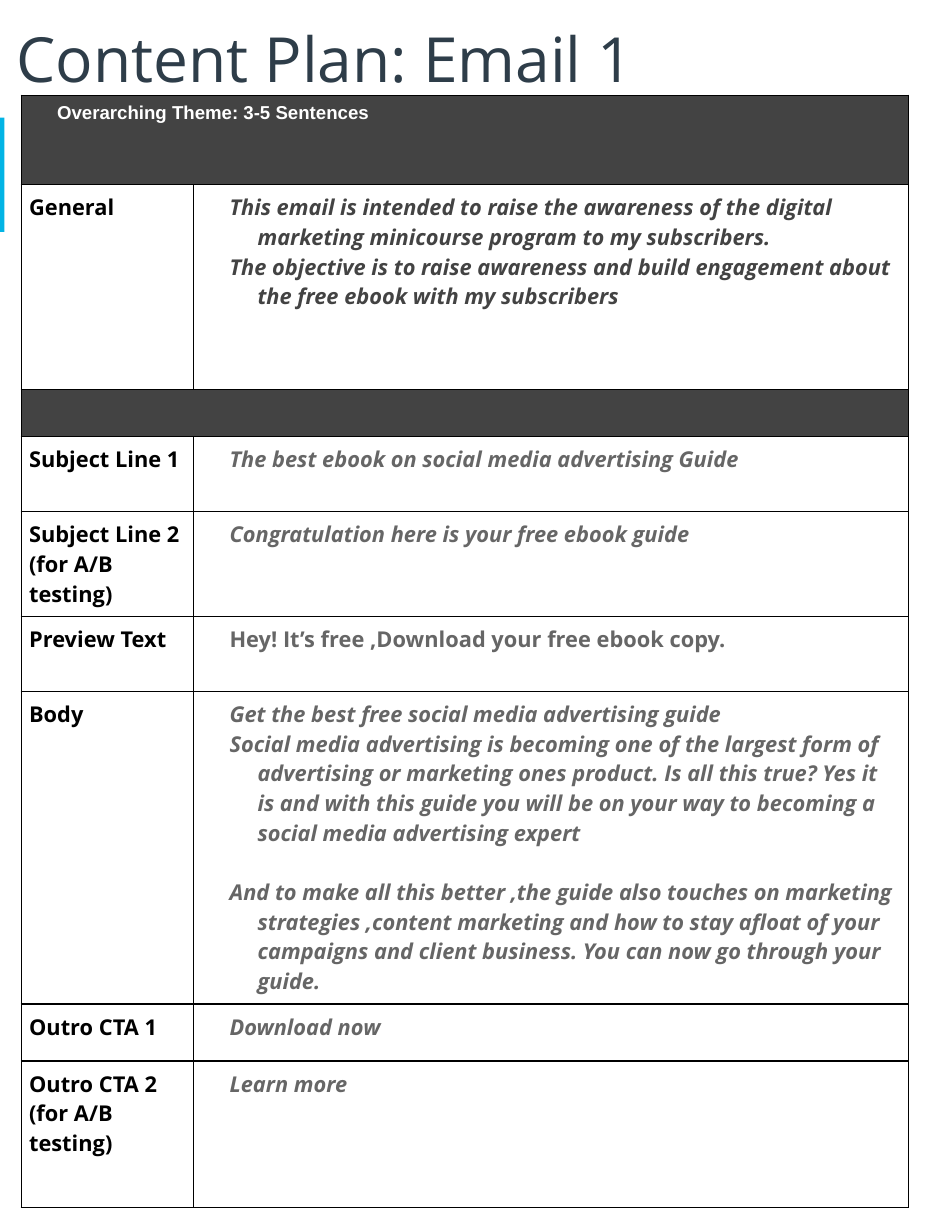
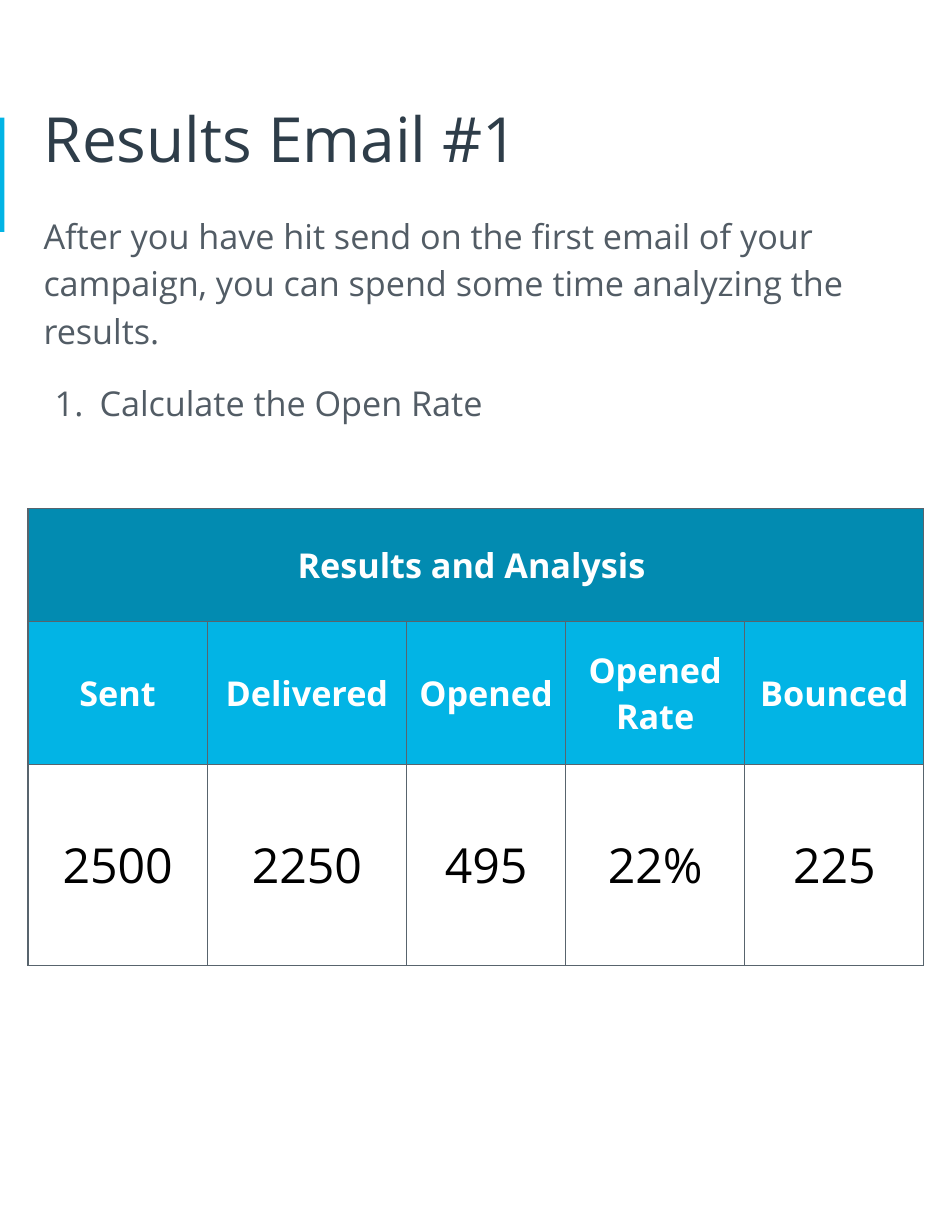
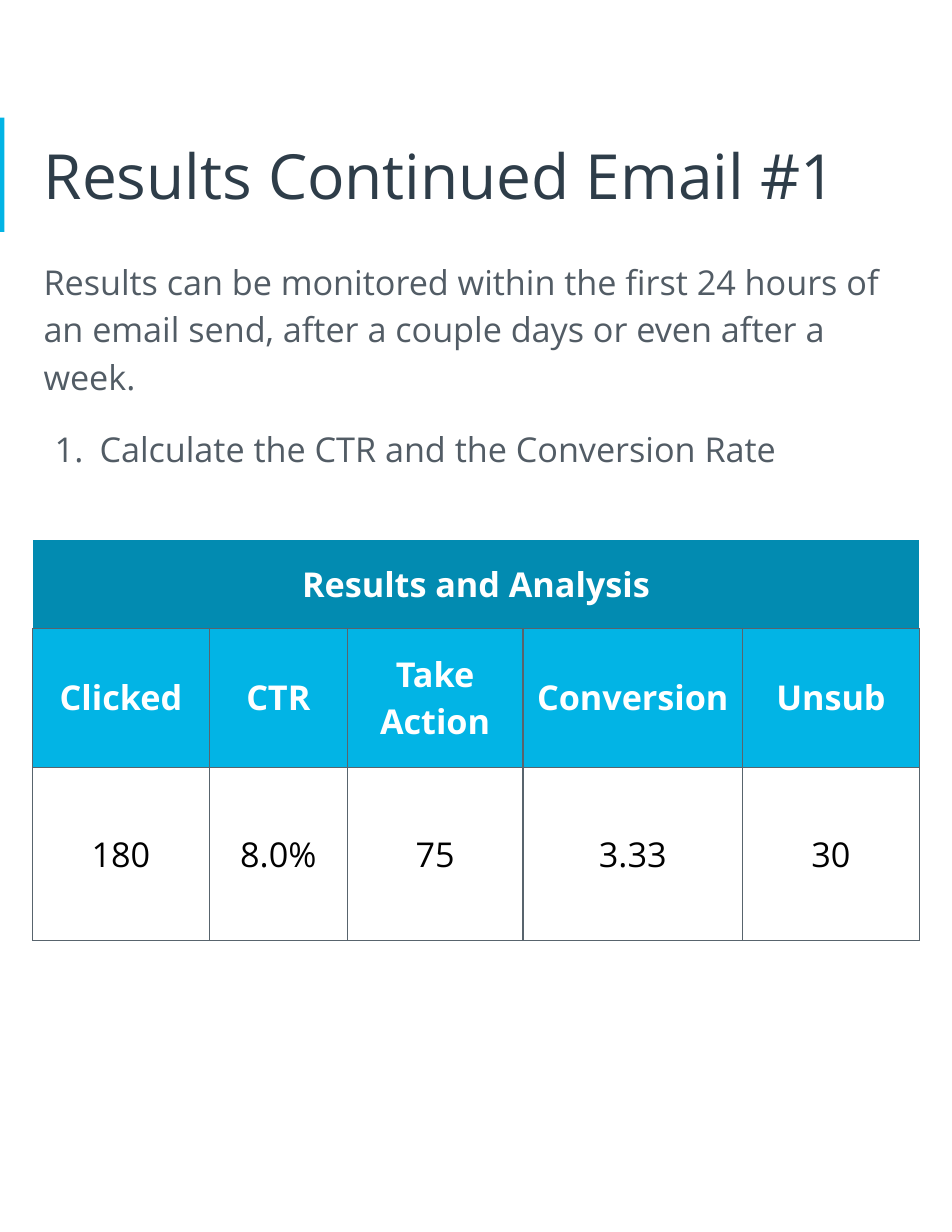
"""Build the email plan and the two result slides."""
from dataclasses import dataclass

import lxml.etree
import pptx
import pptx.dml.color
import pptx.enum.shapes
import pptx.enum.text
import pptx.oxml.ns
import pptx.presentation
import pptx.shapes.base
import pptx.slide
import pptx.table
import pptx.text.text
import pptx.util

Inches = pptx.util.Inches
Pt = pptx.util.Pt
RGBColor = pptx.dml.color.RGBColor
Align = pptx.enum.text.PP_ALIGN
Anchor = pptx.enum.text.MSO_ANCHOR

WHITE = RGBColor(0xFF, 0xFF, 0xFF)
BLACK = RGBColor(0x00, 0x00, 0x00)
NAVY = RGBColor(0x2E, 0x3D, 0x49)
SLATE = RGBColor(0x52, 0x5C, 0x65)
EDGE = RGBColor(0x58, 0x64, 0x6D)
CYAN = RGBColor(0x02, 0xB4, 0xE5)
TEAL = RGBColor(0x02, 0x8B, 0xB1)
COAL = RGBColor(0x43, 0x43, 0x43)
GRAY = RGBColor(0x66, 0x66, 0x66)
SANS = "Open Sans"
WIDTH = 7.92
INSET = 0.1


@dataclass(frozen=True)
class Style:
    """Look of a paragraph."""
    size: float
    color: RGBColor
    bold: bool = False
    slant: bool = False
    face: str = SANS


@dataclass(frozen=True)
class Entry:
    """Row of the plan: label, height and answer lines."""
    label: str
    height: float
    lines: tuple[str, ...]
    style: Style
    hang: float = 0.25


@dataclass(frozen=True)
class Report:
    """Content and layout of a result slide."""
    title: str
    top: float
    intro: str
    task: str
    text_top: float
    head: str
    left: float
    grid_top: float
    cols: tuple[float, ...]
    rows: tuple[float, ...]
    names: tuple[str, ...]
    values: tuple[str, ...]
    size: float
    rim: RGBColor


TITLE = Style(40, NAVY)
BODY = Style(22, SLATE)
HEAD = Style(22, WHITE, bold=True)
THEME = Style(12, WHITE, bold=True, face="Arial")
LABEL = Style(14, BLACK, bold=True)
GOAL = Style(14, COAL, bold=True, slant=True)
COPY = Style(14, GRAY, bold=True, slant=True)
PLAIN = Style(14, GRAY, bold=True)

THEME_HEIGHT = 0.8
BAND_HEIGHT = 0.42
PLAN_COLS = (1.54, 6.38)
GENERAL = Entry("General", 1.83, (
    "This email is intended to raise the awareness of the digital "
    "marketing minicourse program to my subscribers.",
    "The objective is to raise awareness and build engagement about the free "
    "ebook with my subscribers"), GOAL)
PARTS = (
    Entry("Subject Line 1", 0.67,
          ("The best ebook on social media advertising Guide",), COPY, hang=0),
    Entry("Subject Line 2 (for A/B testing)", 0.93,
          ("Congratulation here is your free ebook guide",), COPY),
    Entry("Preview Text", 0.67,
          ("Hey! It’s free ,Download your free ebook copy.",), PLAIN),
    Entry("Body", 2.79, (
        "Get the best free social media advertising guide",
        "Social media advertising is becoming one of the largest form of "
        "advertising or marketing ones product. Is all this true? Yes it is "
        "and with this guide you will be on your way to becoming a social "
        "media advertising expert",
        "And to make all this better ,the guide also touches on marketing "
        "strategies ,content marketing and how to stay afloat of your "
        "campaigns and client business. You can now go through your guide."),
        COPY),
    Entry("Outro CTA 1", 0.51, ("Download now",), COPY),
    Entry("Outro CTA 2 (for A/B testing)", 1.31, ("Learn more",), COPY),
)

REPORTS = (
    Report("Results Email #1", 0.62,
           "After you have hit send on the first email of your campaign, you "
           "can spend some time analyzing the results.",
           "Calculate the Open Rate", 1.77,
           "Results and Analysis ", 0.25, 4.54,
           (1.6, 1.78, 1.42, 1.6, 1.6), (1.01, 1.28, 1.79),
           ("Sent", "Delivered", "Opened", "Opened Rate", "Bounced"),
           ("2500", "2250", "495", "22%", "225"), 31, EDGE),
    Report("Results Continued Email #1", 0.95,
           "Results can be monitored within the first 24 hours of an email "
           "send, after a couple days or even after a week.",
           "Calculate the CTR and the Conversion Rate", 2.18,
           "Results and Analysis", 0.29, 4.82,
           (1.58, 1.23, 1.57, 1.96, 1.58), (0.79, 1.24, 1.55),
           ("Clicked", "CTR", "Take Action", "Conversion", "Unsub"),
           ("180", "8.0%", "75", "3.33", "30"), 22, WHITE),
)


def add_node(parent: lxml.etree._Element, tag: str,
             **attrs: str) -> lxml.etree._Element:
    """Append a drawing element with its attributes."""
    return lxml.etree.SubElement(parent, pptx.oxml.ns.qn(tag), attrs)


def write(par: pptx.text.text._Paragraph, text: str, style: Style) -> None:
    """Fill a paragraph with styled text."""
    par.text = text
    font = par.font
    font.name, font.size = style.face, Pt(style.size)
    font.bold, font.italic = style.bold, style.slant
    font.color.rgb = style.color


def indent(par: pptx.text.text._Paragraph, left: float, hang: float) -> None:
    """Set the left margin and the hanging indent."""
    props = par._p.get_or_add_pPr()
    props.set("marL", str(Inches(left)))
    props.set("indent", str(-Inches(hang)))


def set_frame(shape: pptx.shapes.base.BaseShape, left: float, top: float,
              height: float, anchor: Anchor) -> None:
    """Place a text shape and set its frame."""
    shape.left, shape.top = Inches(left), Inches(top)
    shape.width, shape.height = Inches(WIDTH), Inches(height)
    frame = shape.text_frame
    frame.word_wrap = True
    frame.auto_size = pptx.enum.text.MSO_AUTO_SIZE.NONE
    frame.vertical_anchor = anchor
    frame.margin_left = frame.margin_right = Inches(INSET)
    frame.margin_top = frame.margin_bottom = Inches(INSET)


def add_page(deck: pptx.presentation.Presentation, title: str, left: float,
             top: float, height: float) -> pptx.slide.Slide:
    """Add a slide with the side accent and its title."""
    page = deck.slides.add_slide(deck.slide_layouts.get_by_name("Title Only"))
    bar = page.shapes.add_shape(pptx.enum.shapes.MSO_SHAPE.RECTANGLE, 0,
                                Inches(1.05), Inches(0.04), Inches(1.02))
    bar.shadow.inherit = False
    bar.fill.solid()
    bar.fill.fore_color.rgb = CYAN
    bar.line.fill.background()
    set_frame(page.shapes.title, left, top, height, Anchor.MIDDLE)
    par = page.shapes.title.text_frame.paragraphs[0]
    write(par, title, TITLE)
    par.alignment = Align.LEFT
    return page


def set_edge(cell: pptx.table._Cell, side: str, color: RGBColor,
             width: float) -> None:
    """Draw one border of a cell."""
    props = cell._tc.get_or_add_tcPr()
    line = add_node(props, f"a:ln{side}", w=str(Pt(width)))
    add_node(add_node(line, "a:solidFill"), "a:srgbClr", val=str(color))


def add_grid(page: pptx.slide.Slide, left: float, top: float,
             cols: tuple[float, ...], rows: tuple[float, ...],
             color: RGBColor, width: float, pad: tuple[float, float],
             rim: RGBColor) -> pptx.table.Table:
    """Add a bordered table without fill; rim colours the top row's edge."""
    grid = page.shapes.add_table(
        len(rows), len(cols), Inches(left), Inches(top),
        Inches(sum(cols)), Inches(sum(rows))).table
    grid.first_row = grid.horz_banding = False
    for col, size in zip(grid.columns, cols):
        col.width = Inches(size)
    for num, (row, size) in enumerate(zip(grid.rows, rows)):
        row.height = Inches(size)
        for cell in row.cells:
            cell.margin_left = cell.margin_right = Inches(pad[0])
            cell.margin_top = cell.margin_bottom = Inches(pad[1])
            for side in "LRTB":
                outer = num == 0 and side != "B"
                set_edge(cell, side, rim if outer else color, width)
            cell.fill.background()
    return grid


def paint(cell: pptx.table._Cell, color: RGBColor) -> None:
    """Fill a cell with a solid colour."""
    cell.fill.solid()
    cell.fill.fore_color.rgb = color


def add_band(grid: pptx.table.Table, row: int,
             color: RGBColor) -> pptx.table._Cell:
    """Merge a row into one filled band."""
    cell = grid.cell(row, 0)
    cell.merge(grid.cell(row, len(grid.columns) - 1))
    paint(cell, color)
    return cell


def add_entry(grid: pptx.table.Table, row: int, entry: Entry) -> None:
    """Write a label and its answer into a row."""
    write(grid.cell(row, 0).text_frame.paragraphs[0], entry.label, LABEL)
    frame = grid.cell(row, 1).text_frame
    for num, line in enumerate(entry.lines):
        par = frame.add_paragraph() if num else frame.paragraphs[0]
        write(par, line, entry.style)
        indent(par, 0.25 + entry.hang, entry.hang)
        if num == 2:
            par.space_before = Pt(19)


def add_plan(deck: pptx.presentation.Presentation) -> None:
    """Add the content plan slide."""
    page = add_page(deck, "Content Plan: Email 1", 0.05, 0, 1.02)
    rows = (THEME_HEIGHT, GENERAL.height, BAND_HEIGHT,
            *(part.height for part in PARTS))
    grid = add_grid(page, 0.19, 0.85, PLAN_COLS, rows, BLACK, 1,
                    (0.07, 0.07), BLACK)
    theme = add_band(grid, 0, COAL).text_frame.paragraphs[0]
    write(theme, "Overarching Theme: 3-5 Sentences", THEME)
    indent(theme, 0.5, 0.25)
    add_entry(grid, 1, GENERAL)
    write(add_band(grid, 2, COAL).text_frame.paragraphs[0], "", LABEL)
    for row, part in enumerate(PARTS, 3):
        add_entry(grid, row, part)


def add_intro(page: pptx.slide.Slide, report: Report) -> None:
    """Add the intro text and its numbered task."""
    box = page.shapes.add_textbox(0, 0, 0, 0)
    set_frame(box, 0.29, report.text_top, 2.12, Anchor.TOP)
    intro = box.text_frame.paragraphs[0]
    task = box.text_frame.add_paragraph()
    intro.line_spacing = task.line_spacing = 1.15
    task.space_before = Pt(16)
    indent(task, 0.5, 0.4)
    add_node(task._p.get_or_add_pPr(), "a:buAutoNum", type="arabicPeriod")
    write(intro, report.intro, BODY)
    write(task, report.task, BODY)


def write_mid(cell: pptx.table._Cell, text: str, style: Style) -> None:
    """Write text in the middle of a cell."""
    cell.vertical_anchor = Anchor.MIDDLE
    par = cell.text_frame.paragraphs[0]
    write(par, text, style)
    par.alignment = Align.CENTER


def add_report(deck: pptx.presentation.Presentation, report: Report) -> None:
    """Add a result slide."""
    page = add_page(deck, report.title, 0.29, report.top, 1.22)
    add_intro(page, report)
    grid = add_grid(page, report.left, report.grid_top, report.cols,
                    report.rows, EDGE, 0.75, (0.08, 0.18), report.rim)
    write_mid(add_band(grid, 0, TEAL), report.head, HEAD)
    for col, (name, value) in enumerate(zip(report.names, report.values)):
        paint(grid.cell(1, col), CYAN)
        write_mid(grid.cell(1, col), name, HEAD)
        write_mid(grid.cell(2, col), value, Style(report.size, BLACK))


def main() -> None:
    """Build and save the deck."""
    deck = pptx.Presentation()
    deck.slide_width, deck.slide_height = Inches(8.5), Inches(11)
    add_plan(deck)
    for report in REPORTS:
        add_report(deck, report)
    deck.save("out.pptx")


if __name__ == "__main__":
    main()
